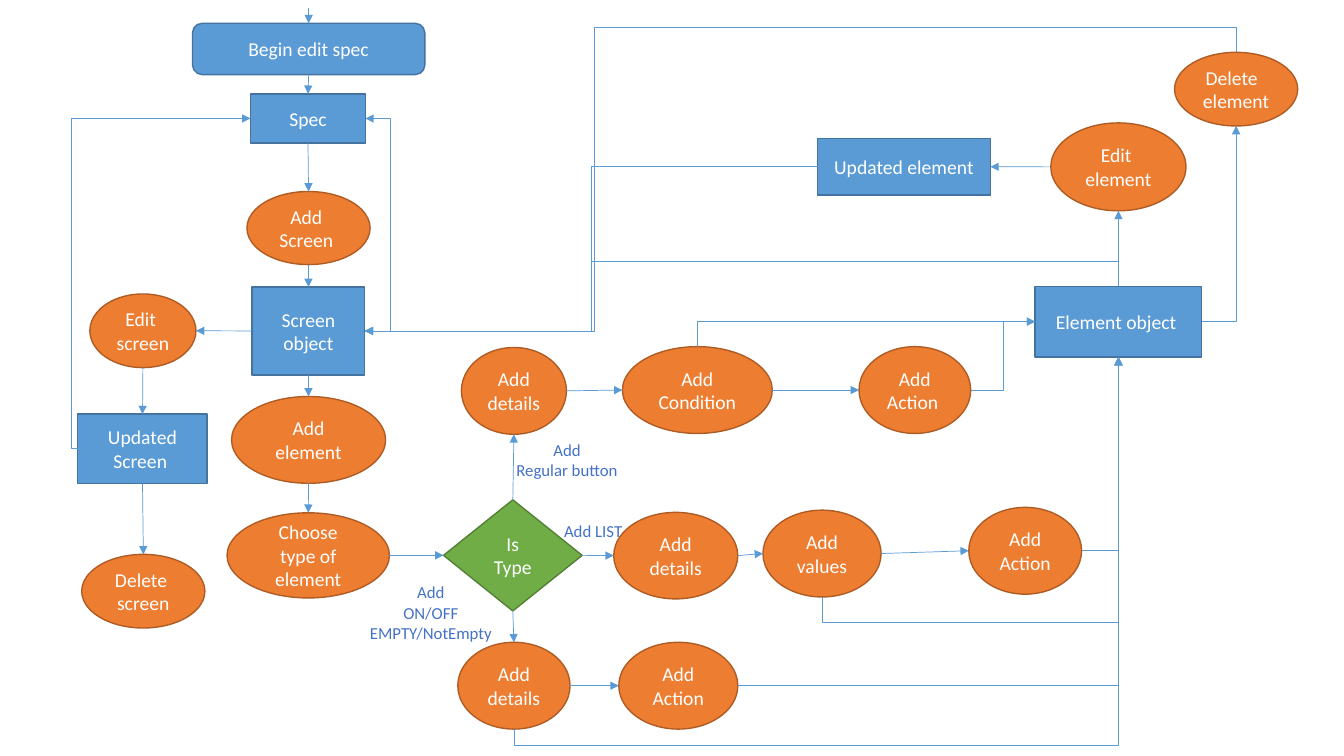
"""Flowchart slide: editing screens and elements of a spec."""
from lxml import etree
from pptx import Presentation
from pptx.dml.color import RGBColor
from pptx.enum.shapes import MSO_CONNECTOR, MSO_SHAPE
from pptx.enum.text import MSO_ANCHOR, PP_ALIGN
from pptx.oxml.ns import qn
from pptx.util import Pt

ROUND, RECT = MSO_SHAPE.ROUNDED_RECTANGLE, MSO_SHAPE.RECTANGLE
OVAL, DIAMOND = MSO_SHAPE.OVAL, MSO_SHAPE.DIAMOND
STRAIGHT, ELBOW = MSO_CONNECTOR.STRAIGHT, MSO_CONNECTOR.ELBOW
MIDDLE, CENTER = MSO_ANCHOR.MIDDLE, PP_ALIGN.CENTER
FONT, WHITE, LABEL, LINK = "Calibri", "FFFFFF", "4472C4", "5B9BD5"
BLUE, ORANGE, GREEN = ("5B9BD5", "43739E"), ("ED7D31", "AF5C24"), ("70AD47", "538035")
COLORS = {ROUND: BLUE, RECT: BLUE, OVAL: ORANGE, DIAMOND: GREEN}

NODES = {
    "begin": (ROUND, ["Begin edit spec"], 137.5, 16.6, 166, 36.7),
    "spec": (RECT, ["Spec"], 179, 67, 82, 35.3),
    "add screen": (OVAL, ["Add ", "Screen "], 176.4, 136.8, 88, 52.2),
    "screen": (RECT, ["Screen object"], 180, 205, 80.6, 62.8),
    "edit screen": (OVAL, ["Edit ", "screen"], 64.2, 210, 75.8, 52.6),
    "updated screen": (RECT, ["Updated Screen "], 55.6, 295.8, 92.4, 49.6),
    "delete screen": (OVAL, ["Delete ", "screen"], 58.4, 396, 88, 52.6),
    "add element": (OVAL, ["Add element"], 165.4, 283.2, 110, 62),
    "choose type": (OVAL, ["Choose type of element"], 162.2, 366.3, 116, 60.8),
    "type": (DIAMOND, ["Is Type"], 316.8, 357, 99, 79.4),
    "button details": (OVAL, ["Add details"], 329.6, 248.2, 75, 62),
    "button condition": (OVAL, ["Add Condition"], 444.6, 247.6, 107, 62),
    "button action": (OVAL, ["Add Action "], 613.6, 247.6, 79.8, 62),
    "list details": (OVAL, ["Add details"], 438.4, 366, 88.6, 61.8),
    "list values": (OVAL, ["Add values"], 545, 364.4, 84.4, 62),
    "list action": (OVAL, ["Add Action"], 692, 362.4, 80.6, 62),
    "switch details": (OVAL, ["Add details"], 327, 458.8, 80.2, 62),
    "switch action": (OVAL, ["Add Action"], 442, 458.8, 85, 62),
    "element": (RECT, ["Element object "], 739.4, 204.6, 119, 50.4),
    "edit element": (OVAL, ["Edit ", "element"], 750.6, 87.8, 96.6, 62.8),
    "updated element": (RECT, ["Updated element"], 584, 99, 123.4, 40.2),
    "delete element": (OVAL, ["Delete  ", "element"], 839, 37.4, 88, 52.6),
}
LABELS = [
    (["Add ", "Regular button "], 361.4, 301.7, 90, 54),
    (["Add", " ON/OFF ", "EMPTY/NotEmpty "], 257, 409.7, 101.5, 55.4),
    (["Add LIST"], 389.5, 363, 68.4, 32.4),
]
CHAINS = [
    ("bt", ["begin", "spec", "add screen", "screen", "add element", "choose type"]),
    ("bt", ["edit screen", "updated screen", "delete screen"]),
    ("bt", ["type", "switch details"]),
    ("tb", ["type", "button details"]),
    ("tb", ["element", "edit element"]),
    ("lr", ["screen", "edit screen"]),
    ("lr", ["edit element", "updated element"]),
    ("rl", ["choose type", "type", "list details", "list values", "list action"]),
    ("rl", ["button details", "button condition", "button action"]),
    ("rl", ["switch details", "switch action"]),
]
BENDS = [
    ("updated screen", "l", "spec", "l", [51.2]),
    ("screen", "r", "spec", "r", [278.8]),
    ("updated element", "l", "screen", "r", [422.5]),
    ("element", "t", "screen", "r", [186.6, 422.5]),
    ("delete element", "t", "screen", "r", [19.4, 424]),
    ("element", "r", "delete element", "b", []),
    ("button condition", "t", "element", "l", []),
    ("button action", "r", "element", "l", [716.5]),
    ("list action", "r", "element", "b", []),
    ("list values", "b", "element", "b", [444.3]),
    ("switch action", "r", "element", "b", []),
    ("switch details", "b", "element", "b", [532.5]),
]
SIDES = {"l": (0, 0.5), "r": (1, 0.5), "t": (0.5, 0), "b": (0.5, 1)}


def rgb(color):
    return RGBColor.from_string(color)


def write(s, lines, size, color):
    tf = s.text_frame
    tf.vertical_anchor = MIDDLE
    for i, line in enumerate(lines):
        p = tf.add_paragraph() if i else tf.paragraphs[0]
        p.alignment = CENTER
        r = p.add_run()
        r.text = line
        r.font.name, r.font.size = FONT, Pt(size)
        r.font.color.rgb = rgb(color)


def anchor(name, side):
    x, y, w, h = NODES[name][2:]
    fx, fy = SIDES[side]
    return x + fx * w, y + fy * h


def arrow(kind, *ends):
    c = shapes.add_connector(kind, *[Pt(v) for v in ends])
    c.line.color.rgb = rgb(LINK)
    c.line.width = Pt(0.5)
    etree.SubElement(c.line._get_or_add_ln(), qn("a:tailEnd"), type="triangle")
    etree.SubElement(c._element.spPr, qn("a:effectLst"))
    return c._element.spPr


def bend(start, end, vertical, turns):
    (x1, y1), (x2, y2) = start, end
    dx, dy = x2 - x1, y2 - y1
    if vertical:
        cx, cy = (x1 + x2) / 2, (y1 + y2) / 2
        pr = arrow(ELBOW, cx - dy / 2, cy + dx / 2, cx + dy / 2, cy - dx / 2)
        pr.find(qn("a:xfrm")).set("rot", "5400000")
        axes = [(y1, dy), (x1, dx)]
    else:
        pr = arrow(ELBOW, x1, y1, x2, y2)
        axes = [(x1, dx), (y1, dy)]
    geom = pr.find(qn("a:prstGeom"))
    geom.set("prst", f"bentConnector{len(turns) + 2}")
    guides = geom.find(qn("a:avLst"))
    for i, (turn, (origin, span)) in enumerate(zip(turns, axes), 1):
        ratio = round((turn - origin) / span * 100000)
        etree.SubElement(guides, qn("a:gd"), name=f"adj{i}", fmla=f"val {ratio}")


prs = Presentation()
prs.slide_width, prs.slide_height = Pt(960), Pt(540)
shapes = prs.slides.add_slide(prs.slide_layouts[6]).shapes

for kind, lines, *box in NODES.values():
    s = shapes.add_shape(kind, *[Pt(v) for v in box])
    fill, line = COLORS[kind]
    s.shadow.inherit = False
    s.fill.solid()
    s.fill.fore_color.rgb = rgb(fill)
    s.line.color.rgb = rgb(line)
    s.line.width = Pt(1)
    if kind == ROUND:
        s.adjustments[0] = 0.19
    write(s, lines, 14, WHITE)

top_x, top_y = anchor("begin", "t")
arrow(STRAIGHT, top_x, 5.8, top_x, top_y)
for (out, into), names in CHAINS:
    for a, b in zip(names, names[1:]):
        arrow(STRAIGHT, *anchor(a, out), *anchor(b, into))
for a, out, b, into, turns in BENDS:
    bend(anchor(a, out), anchor(b, into), out in "tb", turns)

for lines, *box in LABELS:
    write(shapes.add_textbox(*[Pt(v) for v in box]), lines, 12, LABEL)

prs.save("out.pptx")
